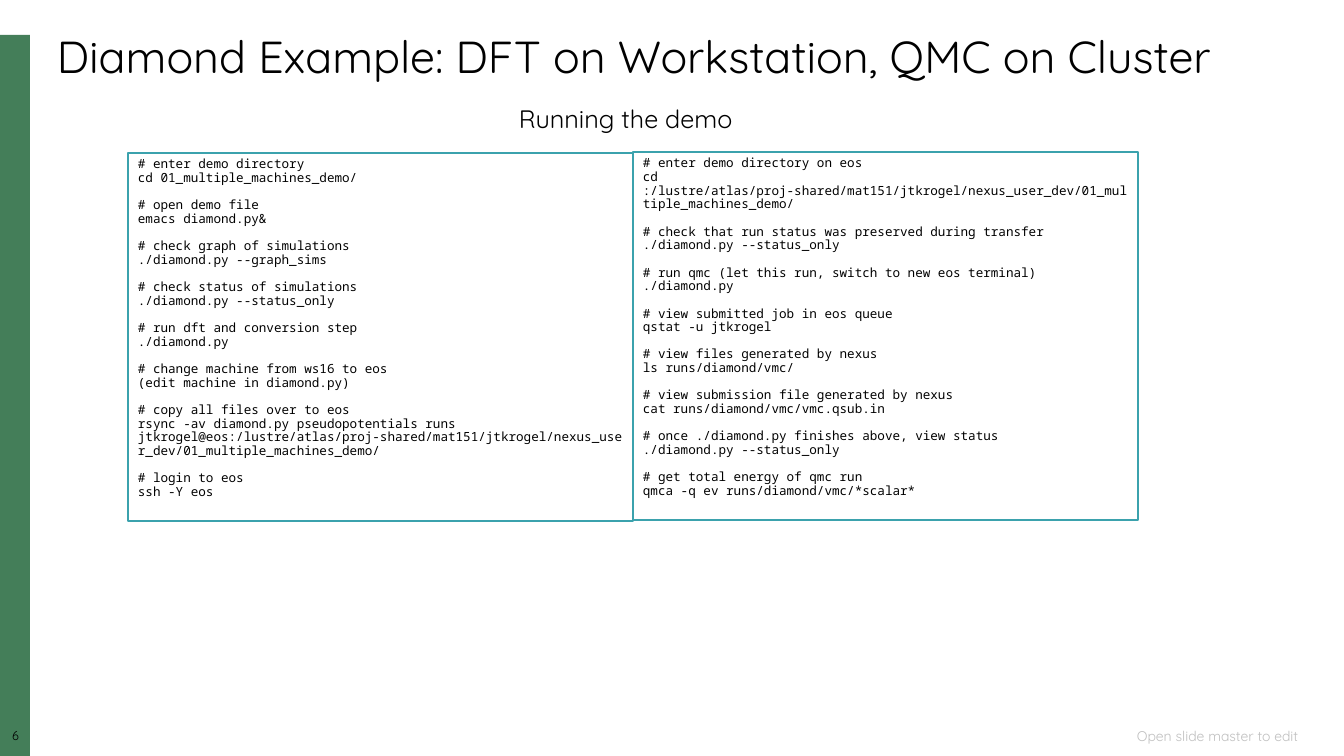
from dataclasses import dataclass

from pptx import Presentation
from pptx import util as u
from pptx.dml.color import RGBColor
from pptx.enum import shapes, text

EMU_PER_PX = 914400 / 100.8
BLACK, WHITE, GREEN, TEAL, GREY = "000000", "FFFFFF", "447E59", "3BA2AD", "BFBFBF"
HEADING_FONT, CODE_FONT = "Quicksand", "Noto Sans Mono"


@dataclass(frozen=True)
class Area:
    left: int
    top: int
    width: int
    height: int


@dataclass(frozen=True)
class Label:
    words: str
    area: Area
    size: int
    color: str = BLACK
    align: text.PP_ALIGN = text.PP_ALIGN.LEFT
    anchor: text.MSO_ANCHOR = text.MSO_ANCHOR.TOP
    spacing: float = 0.9
    inset: bool = True


@dataclass(frozen=True)
class Terminal:
    area: Area
    steps: tuple[tuple[str, str], ...]


LABELS = (
    Label("6", Area(0, 730, 31, 17), 9, align=text.PP_ALIGN.CENTER, inset=False),
    Label("Open slide master to edit", Area(883, 726, 425, 20), 10, GREY,
          text.PP_ALIGN.RIGHT, text.MSO_ANCHOR.MIDDLE, 1.0),
    Label("Diamond Example: DFT on Workstation, QMC on Cluster",
          Area(47, 30, 1260, 59), 32),
    Label("Running the demo", Area(509, 102, 250, 37), 18),
)

TERMINALS = (
    Terminal(Area(128, 153, 505, 368), (
        ("# enter demo directory", "cd 01_multiple_machines_demo/"),
        ("# open demo file", "emacs diamond.py&"),
        ("# check graph of simulations", "./diamond.py --graph_sims"),
        ("# check status of simulations", "./diamond.py --status_only"),
        ("# run dft and conversion step", "./diamond.py"),
        ("# change machine from ws16 to eos", "(edit machine in diamond.py)"),
        ("# copy all files over to eos",
         "rsync -av diamond.py pseudopotentials runs "
         "jtkrogel@eos:/lustre/atlas/proj-shared/mat151/jtkrogel/"
         "nexus_user_dev/01_multiple_machines_demo/"),
        ("# login to eos", "ssh -Y eos"),
    )),
    Terminal(Area(633, 152, 505, 368), (
        ("# enter demo directory on eos",
         "cd :/lustre/atlas/proj-shared/mat151/jtkrogel/"
         "nexus_user_dev/01_multiple_machines_demo/"),
        ("# check that run status was preserved during transfer",
         "./diamond.py --status_only"),
        ("# run qmc (let this run, switch to new eos terminal)", "./diamond.py"),
        ("# view submitted job in eos queue", "qstat -u jtkrogel"),
        ("# view files generated by nexus", "ls runs/diamond/vmc/"),
        ("# view submission file generated by nexus",
         "cat runs/diamond/vmc/vmc.qsub.in"),
        ("# once ./diamond.py finishes above, view status",
         "./diamond.py --status_only"),
        ("# get total energy of qmc run", "qmca -q ev runs/diamond/vmc/*scalar*"),
    )),
)


def px(length: int) -> u.Emu:
    return u.Emu(round(length * EMU_PER_PX))


def rgb(color: str) -> RGBColor:
    return RGBColor.from_string(color)


def place(area: Area) -> tuple[u.Emu, ...]:
    return px(area.left), px(area.top), px(area.width), px(area.height)


def format_para(para, font: str, size: int, color: str,
                align: text.PP_ALIGN, spacing: float) -> None:
    para.alignment = align
    para.line_spacing = spacing
    for span in para.runs:
        span.font.name = font
        span.font.size = u.Pt(size)
        span.font.color.rgb = rgb(color)


def add_rectangle(page, area: Area, fill: str, line: str | None = None):
    box = page.shapes.add_shape(shapes.MSO_SHAPE.RECTANGLE, *place(area))
    box.shadow.inherit = False
    box.fill.solid()
    box.fill.fore_color.rgb = rgb(fill)
    if line:
        box.line.color.rgb = rgb(line)
        box.line.width = u.Pt(2)
    else:
        box.line.fill.background()
    return box


def add_label(page, label: Label) -> None:
    frame = page.shapes.add_textbox(*place(label.area)).text_frame
    frame.word_wrap = True
    frame.vertical_anchor = label.anchor
    if not label.inset:
        frame.margin_left = frame.margin_right = 0
        frame.margin_top = frame.margin_bottom = 0
    frame.text = label.words
    format_para(frame.paragraphs[0], HEADING_FONT, label.size, label.color,
                label.align, label.spacing)


def add_terminal(page, terminal: Terminal) -> None:
    """Draw a framed list of steps, each a comment line above its command."""
    frame = add_rectangle(page, terminal.area, WHITE, TEAL).text_frame
    frame.word_wrap = True
    frame.vertical_anchor = text.MSO_ANCHOR.TOP
    frame.text = "\n".join(line for step in terminal.steps for line in step)
    for index, para in enumerate(frame.paragraphs):
        format_para(para, CODE_FONT, 9, BLACK, text.PP_ALIGN.LEFT, 0.9)
        if index and index % 2 == 0:
            para.space_before = u.Pt(9.75)


def main() -> None:
    deck = Presentation()
    deck.slide_width, deck.slide_height = px(1344), px(756)
    page = deck.slides.add_slide(deck.slide_layouts[6])
    add_rectangle(page, Area(0, 35, 30, 721), GREEN)
    for terminal in TERMINALS:
        add_terminal(page, terminal)
    for label in LABELS:
        add_label(page, label)
    deck.save("out.pptx")


if __name__ == "__main__":
    main()
